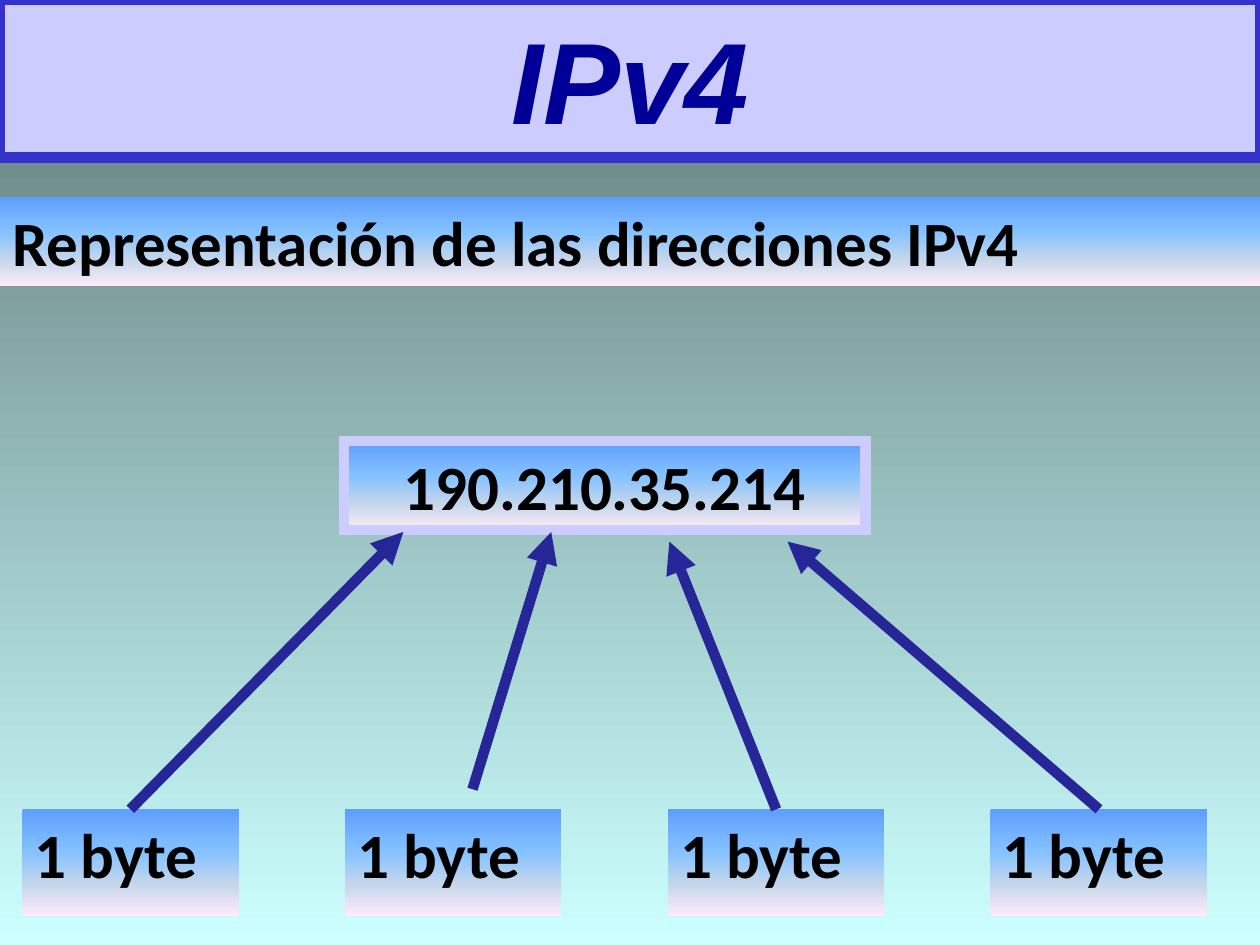
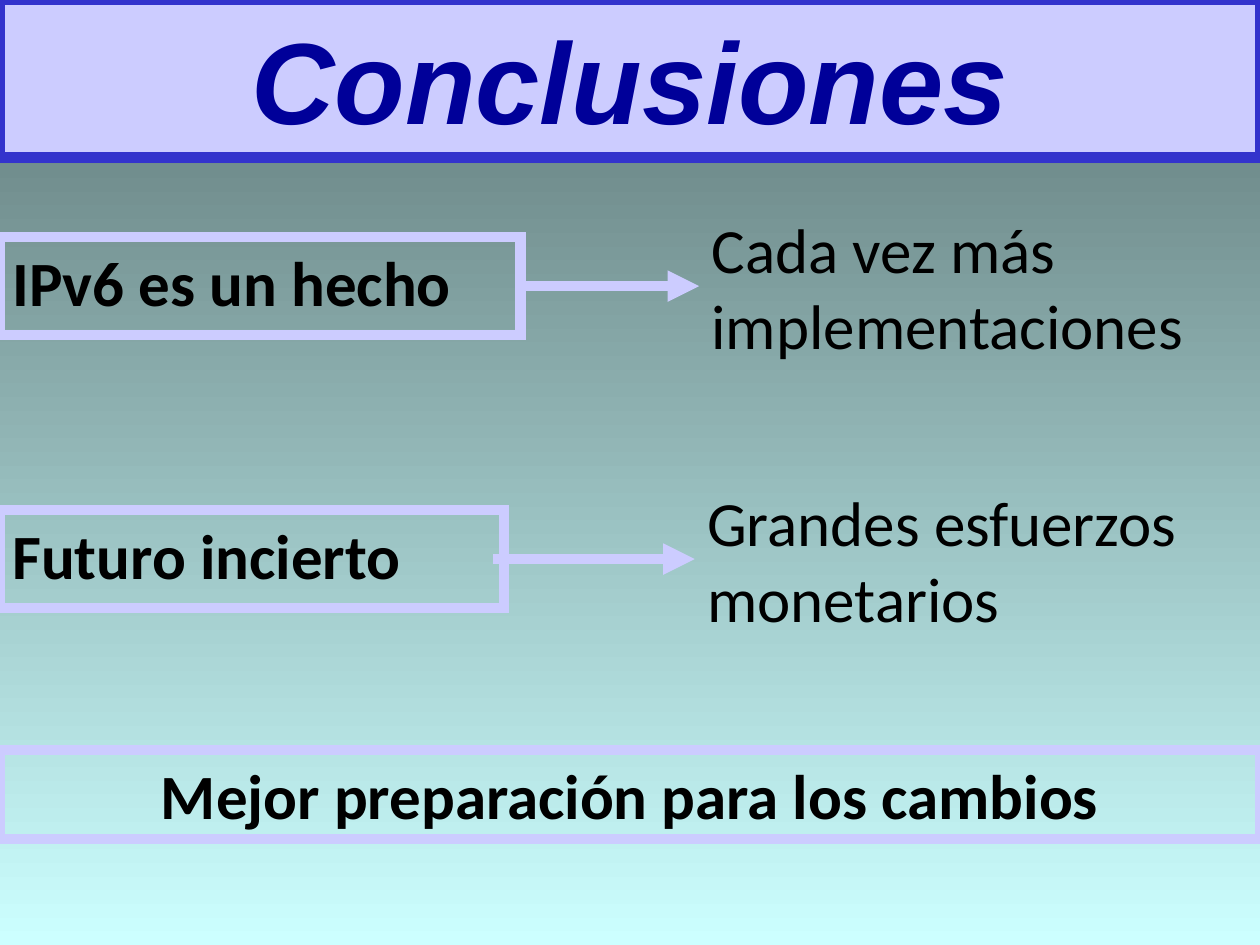
"""Build two slides on IPv4 addresses and the conclusions about IPv6."""
from lxml.etree import SubElement
from pptx import Presentation
from pptx.dml.color import RGBColor as Rgb
from pptx.enum.shapes import MSO_CONNECTOR as Connector, MSO_SHAPE as Shape
from pptx.enum.text import MSO_ANCHOR as Anchor, PP_ALIGN as Align
from pptx.oxml.ns import qn
from pptx.util import Pt

COLORS = {
    "title_fill": "CCCCFF",
    "title_line": "3333CC",
    "title_text": "000099",
    "text": "000000",
    "frame": "CCCCFF",
    "arrow": "262699",
}
BACKDROP = [(0, "5E7676"), (100, "CCFFFF")]
SKY = [(0, "5E9EFF"), (40, "85C2FF"), (70, "C4D6EB"), (100, "FFEBFA")]
WIDTH, HEIGHT = 720, 540
LINE_WIDTH = 6


class SlideBuilder:
    """Hold the deck style and the current slide."""

    def __init__(self):
        self.deck = Presentation()
        self.deck.slide_width, self.deck.slide_height = Pt(WIDTH), Pt(HEIGHT)
        self.page = None

    def add_page(self, title):
        self.page = self.deck.slides.add_slide(self.deck.slide_layouts[6])
        self.gradient(self.page.background.fill, self.page.element, BACKDROP)
        banner = self.box(0, 0, WIDTH, 90, line="title_line")
        banner.fill.solid()
        banner.fill.fore_color.rgb = Rgb.from_string(COLORS["title_fill"])
        self.set_text(banner, title, Align.CENTER, True, "Arial", 66, "title_text")
        banner.text_frame.paragraphs[0].font.italic = True
        banner.text_frame.vertical_anchor = Anchor.MIDDLE

    def gradient(self, fill, element, stops):
        fill.gradient()
        fill.gradient_angle = 270
        stop_list = element.find(".//" + qn("a:gsLst"))
        stop_list.clear()
        for position, color in stops:
            stop = SubElement(stop_list, qn("a:gs"), pos=str(position * 1000))
            SubElement(stop, qn("a:srgbClr"), val=color)

    def stroke(self, line, color):
        line.color.rgb = Rgb.from_string(COLORS[color])
        line.width = Pt(LINE_WIDTH)

    def box(self, left, top, width, height, line=None, stops=None):
        box = self.page.shapes.add_shape(
            Shape.RECTANGLE, Pt(left), Pt(top), Pt(width), Pt(height))
        box.shadow.inherit = False
        if stops:
            self.gradient(box.fill, box.element, stops)
        else:
            box.fill.background()
        if line:
            self.stroke(box.line, line)
            SubElement(box.element.spPr.find(qn("a:ln")), qn("a:miter"), lim="800000")
        else:
            box.line.fill.background()
        return box

    def set_text(self, box, text, align=Align.LEFT, bold=True,
                 font="Calibri", size=36, color="text"):
        frame = box.text_frame
        frame.word_wrap = True
        frame.vertical_anchor = Anchor.TOP
        para = frame.paragraphs[0]
        para.text = text
        para.alignment = align
        para.font.name, para.font.size, para.font.bold = font, Pt(size), bold
        para.font.color.rgb = Rgb.from_string(COLORS[color])

    def label(self, text, left, top, width, height, line=None, stops=None,
              align=Align.LEFT):
        self.set_text(self.box(left, top, width, height, line, stops), text, align)

    def note(self, text, left, top, width, height):
        note = self.page.shapes.add_textbox(Pt(left), Pt(top), Pt(width), Pt(height))
        self.set_text(note, text, bold=False)

    def arrow(self, start, end, color):
        arrow = self.page.shapes.add_connector(
            Connector.STRAIGHT, *(Pt(value) for value in (*start, *end)))
        self.stroke(arrow.line, color)
        properties = arrow.element.spPr
        SubElement(properties.find(qn("a:ln")), qn("a:tailEnd"), type="triangle")
        SubElement(properties, qn("a:effectLst"))


def build_address_page(builder):
    builder.add_page("IPv4")
    builder.label("Representación de las direcciones IPv4", 0, 112.5, WIDTH, 51,
                  stops=SKY)
    builder.label("190.210.35.214", 196.5, 252, 298, 51, "frame", SKY, Align.CENTER)
    byte_left, byte_top, byte_width, byte_step = 12.75, 462.5, 123.75, 184.4
    for index in range(4):
        builder.label("1 byte", byte_left + index * byte_step, byte_top,
                      byte_width, 61, stops=SKY)
    arrows = [
        ((74.5, byte_top), (230.5, 304)),
        ((270, 451), (315, 304)),
        ((443.5, byte_top), (382.5, 309.5)),
        ((628, byte_top), (450, 309.5)),
    ]
    for start, end in arrows:
        builder.arrow(start, end, "arrow")


def build_conclusions_page(builder):
    builder.add_page("Conclusiones")
    conclusions = [
        ("IPv6 es un hecho", 135.5, 297.5, "Cada vez más implementaciones",
         399.5, 300),
        ("Futuro incierto", 291.5, 288, "Grandes esfuerzos monetarios",
         397, 282),
    ]
    for fact, top, width, result, result_left, arrow_left in conclusions:
        middle = top + 28
        builder.label(fact, 0, top, width, 56, "frame")
        builder.note(result, result_left, top - 18.75, WIDTH - result_left, 93.5)
        builder.arrow((arrow_left, middle), (result_left, middle), "frame")
    builder.label("Mejor preparación para los cambios", 0, 428.5, WIDTH, 51, "frame",
                  align=Align.CENTER)


def main():
    builder = SlideBuilder()
    build_address_page(builder)
    build_conclusions_page(builder)
    builder.deck.save("out.pptx")


if __name__ == "__main__":
    main()
